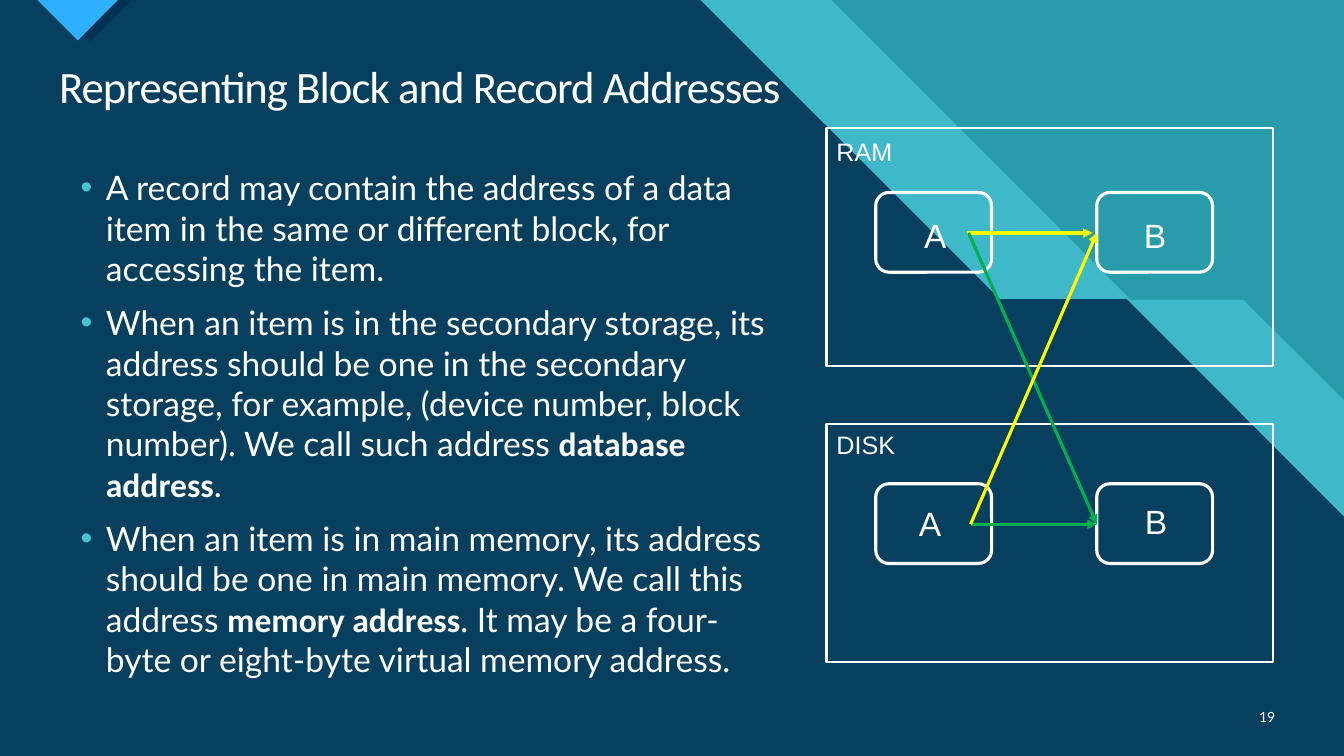
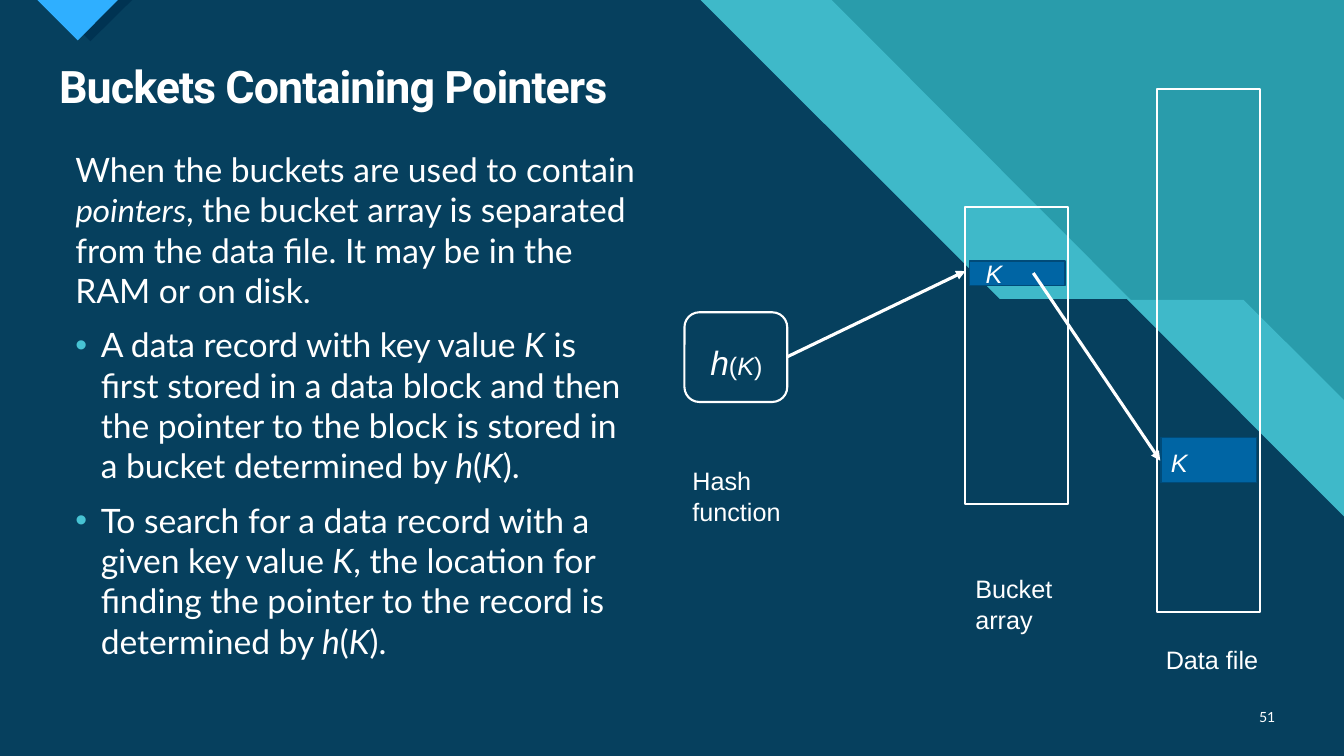
from lxml.etree import SubElement
from pptx import Presentation
from pptx.dml.color import RGBColor
from pptx.enum.shapes import MSO_CONNECTOR as Link, MSO_SHAPE as Kind
from pptx.enum.text import MSO_ANCHOR as Anchor, PP_ALIGN as Align
from pptx.oxml.ns import qn
from pptx.util import Cm, Pt

# Shared look
WIDTH, HEIGHT = 33.87, 19.05
WHITE, TEAL, AQUA, NAVY = "FFFFFF", "299CAB", "3FB9C9", "06405E"
SHADE, SKY, BULLET = "003352", "2FAFFF", "47C3D3"
BLUE, BLUE_EDGE, GREEN, YELLOW = "0065A4", "004B79", "00B050", "FFFF00"
BANDS = [
    (AQUA, [(0, 0), (20.96, 0), (28.5, 7.56), (31.34, 7.56),
            (WIDTH, 10.08), (WIDTH, HEIGHT), (0, HEIGHT)]),
    (NAVY, [(0, 0), (17.65, 0), (25.2, 7.54), (28.4, 7.54),
            (WIDTH, 13.02), (WIDTH, HEIGHT), (0, HEIGHT)]),
    (SHADE, [(1.22, 0), (3.33, 0), (2.28, 1.04)]),
    (SKY, [(0.94, 0), (2.97, 0), (1.96, 1.02)]),
]
BOLD = {"font": "Calibri", "bold": True}
ITALIC = {"italic": True}
H, K = ("h", ITALIC), ("K", ITALIC)


def paint(fill, colour):
    fill.solid()
    fill.fore_color.rgb = RGBColor.from_string(colour)


def write(page, place, paragraphs, font="Arial", size=18, bold=False, italic=False,
          align=Align.LEFT, anchor=Anchor.TOP, line_spacing=None, tracking=None,
          before=0, after=0, bullets_from=None):
    """Each paragraph is a list of spans: plain text or (text, format)."""
    box = page.shapes.add_textbox(*map(Cm, place))
    frame = box.text_frame
    frame.word_wrap = True
    frame.vertical_anchor = anchor
    for index, spans in enumerate(paragraphs):
        para = frame.paragraphs[0] if index == 0 else frame.add_paragraph()
        para.alignment = align
        para.space_before, para.space_after = Pt(before), Pt(after)
        if line_spacing:
            para.line_spacing = line_spacing
        if bullets_from is not None and index >= bullets_from:
            props = para._p.get_or_add_pPr()
            props.set("marL", str(Cm(0.64)))
            props.set("indent", str(-Cm(0.64)))
            SubElement(SubElement(props, qn("a:buClr")), qn("a:srgbClr")).set("val", BULLET)
            SubElement(props, qn("a:buFont")).set("typeface", "Arial")
            SubElement(props, qn("a:buChar")).set("char", "•")
        for item in spans:
            text, style = (item, {}) if isinstance(item, str) else item
            span = para.add_run()
            span.text = text
            span.font.name = style.get("font", font)
            span.font.size = Pt(style.get("size", size))
            span.font.bold = style.get("bold", bold)
            span.font.italic = style.get("italic", italic)
            paint(span.font.fill, WHITE)
            if tracking:
                span._r.get_or_add_rPr().set("spc", str(tracking))


# Memory diagram: a RAM and a DISK frame, each with blocks A and B
frames = [(Kind.RECTANGLE, (20.83, top, 11.25, 5.99), WHITE, 1.5, None)
          for top in (3.23, 10.69)]
blocks = [(Kind.ROUNDED_RECTANGLE, (left, top, 2.92, 2.01), WHITE, 2.25, None)
          for top in (4.85, 12.19) for left in (22.07, 27.64)]
address_labels = [
    ((23.04, 5.28, 1.02, 1.27), ["A"], 24),
    ((28.58, 5.28, 1.02, 1.27), ["B"], 24),
    ((22.91, 12.55, 1.02, 1.27), ["A"], 24),
    ((28.6, 12.5, 1.02, 1.27), ["B"], 24),
    ((20.83, 3.3, 2.21, 1.02), ["RAM"], 18),
    ((20.83, 10.69, 2.21, 1.02), ["DISK"], 18),
]
address_arrows = [
    ((24.46, 13.21, 27.64, 13.21), GREEN),
    ((24.36, 5.87, 27.53, 5.87), YELLOW),
    ((24.41, 5.87, 27.64, 13.21), GREEN),
    ((24.46, 13.21, 27.64, 5.87), YELLOW),
]

# Hash diagram: function, bucket array and data file
hash_boxes = [
    (Kind.ROUNDED_RECTANGLE, (17.25, 7.87, 2.59, 2.26), WHITE, 1.5, None),
    (Kind.RECTANGLE, (24.33, 5.21, 2.59, 7.49), WHITE, 1.5, None),
    (Kind.RECTANGLE, (24.43, 6.58, 2.41, 0.61), BLUE_EDGE, 1, BLUE),
    (Kind.RECTANGLE, (29.16, 2.24, 2.59, 13.18), WHITE, 1.5, None),
    (Kind.RECTANGLE, (29.26, 11.02, 2.41, 1.14), BLUE_EDGE, 1, BLUE),
]
hash_labels = [
    ((17.65, 8.48, 2.21, 1.27), [("h", {"italic": True, "size": 24}), "(", K, ")"], 18),
    ((24.59, 6.38, 1.07, 1.02), [K], 18),
    ((29.26, 11.15, 1.07, 1.02), [K], 18),
    ((17.2, 11.61, 3.07, 1.8), ["Hash function"], 18),
    ((24.33, 14.33, 3.07, 1.8), ["Bucket array"], 18),
    ((29.13, 16.1, 3.07, 1.02), ["Data file"], 18),
]
hash_arrows = [
    ((19.84, 8.99, 24.33, 6.83), WHITE),
    ((26.04, 6.88, 29.24, 11.61), WHITE),
]

# Slide contents
slides = [
    {
        "title": "Representing Block and Record Addresses",
        "title_style": {"font": "Calibri"},
        "number": "19",
        "place": (1.78, 4.09, 17.78, 12.88),
        "bullets_from": 0,
        "body": [
            ["A record may contain the address of a data item in the same or "
             "different block, for accessing the item."],
            ["When an item is in the secondary storage, its address should be one in "
             "the secondary storage, for example, (device number, block number). "
             "We call such address ", ("database address", BOLD), "."],
            ["When an item is in main memory, its address should be one in main "
             "memory. We call this address ", ("memory address", BOLD),
             ". It may be a four-byte or eight-byte virtual memory address."],
        ],
        "boxes": blocks + frames,
        "labels": address_labels,
        "arrows": address_arrows,
    },
    {
        "title": "Buckets Containing Pointers",
        "title_style": {"font": "Roboto", "bold": True},
        "number": "51",
        "place": (1.65, 3.63, 14.68, 14.71),
        "bullets_from": 1,
        "body": [
            ["When the buckets are used to contain ",
             ("pointers", {"font": "Calibri", "italic": True}),
             ", the bucket array is separated from the data file. "
             "It may be in the RAM or on disk."],
            ["A data record with key value ", K,
             " is first stored in a data block and then the pointer to the block is "
             "stored in a bucket determined by ", H, "(", K, ")."],
            ["To search for a data record with a given key value ", K,
             ", the location for finding the pointer to the record is determined by ",
             H, "(", K, ")."],
        ],
        "boxes": hash_boxes,
        "labels": hash_labels,
        "arrows": hash_arrows,
    },
]

deck = Presentation()
deck.slide_width, deck.slide_height = Cm(WIDTH), Cm(HEIGHT)

for content in slides:
    page = deck.slides.add_slide(deck.slide_layouts[6])

    # Background bands and corner marker
    paint(page.background.fill, TEAL)
    for colour, points in BANDS:
        corners = [(Cm(x), Cm(y)) for x, y in points]
        builder = page.shapes.build_freeform(*corners[0])
        builder.add_line_segments(corners[1:], close=True)
        band = builder.convert_to_shape()
        band.shadow.inherit = False
        paint(band.fill, colour)
        band.line.fill.background()

    # Title, body and page number
    write(page, (1.24, 1.5, 31.14, 1.5), [[content["title"]]], size=32,
          line_spacing=0.9, tracking=-70, **content["title_style"])
    write(page, content["place"], content["body"], font="Lato", size=24,
          before=6, after=4, bullets_from=content["bullets_from"])
    write(page, (31.27, 17.55, 1.12, 1.02), [[content["number"]]], font="Lato",
          size=10, align=Align.RIGHT, anchor=Anchor.MIDDLE)

    # Diagram
    for kind, place, edge, weight, fill in content["boxes"]:
        shape = page.shapes.add_shape(kind, *map(Cm, place))
        shape.shadow.inherit = False
        if fill:
            paint(shape.fill, fill)
        else:
            shape.fill.background()
        paint(shape.line.fill, edge)
        shape.line.width = Pt(weight)
    for place, spans, size in content["labels"]:
        write(page, place, [spans], size=size)
    for ends, colour in content["arrows"]:
        arrow = page.shapes.add_connector(Link.STRAIGHT, *map(Cm, ends))
        paint(arrow.line.fill, colour)
        arrow.line.width = Pt(2.25)
        props = arrow._element.spPr
        SubElement(props.find(qn("a:ln")), qn("a:tailEnd")).set("type", "triangle")
        SubElement(props, qn("a:effectLst"))

deck.save("out.pptx")
